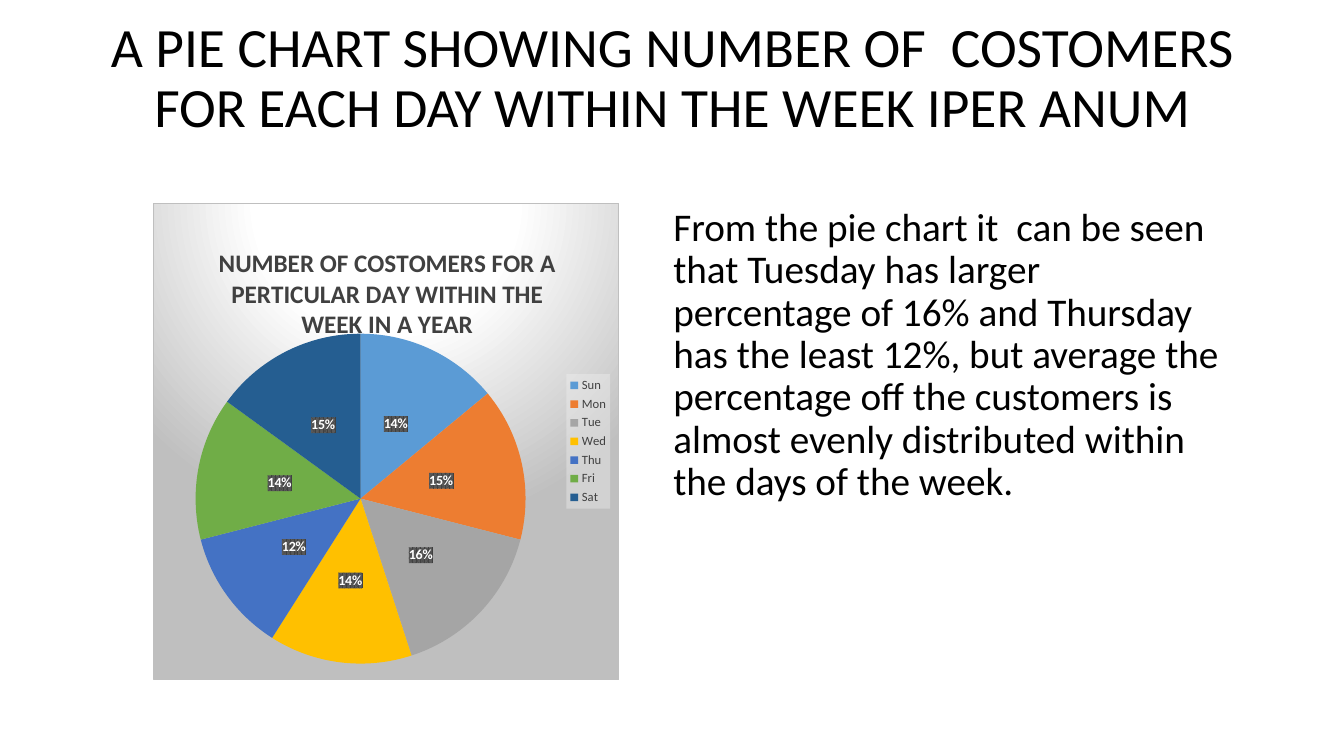
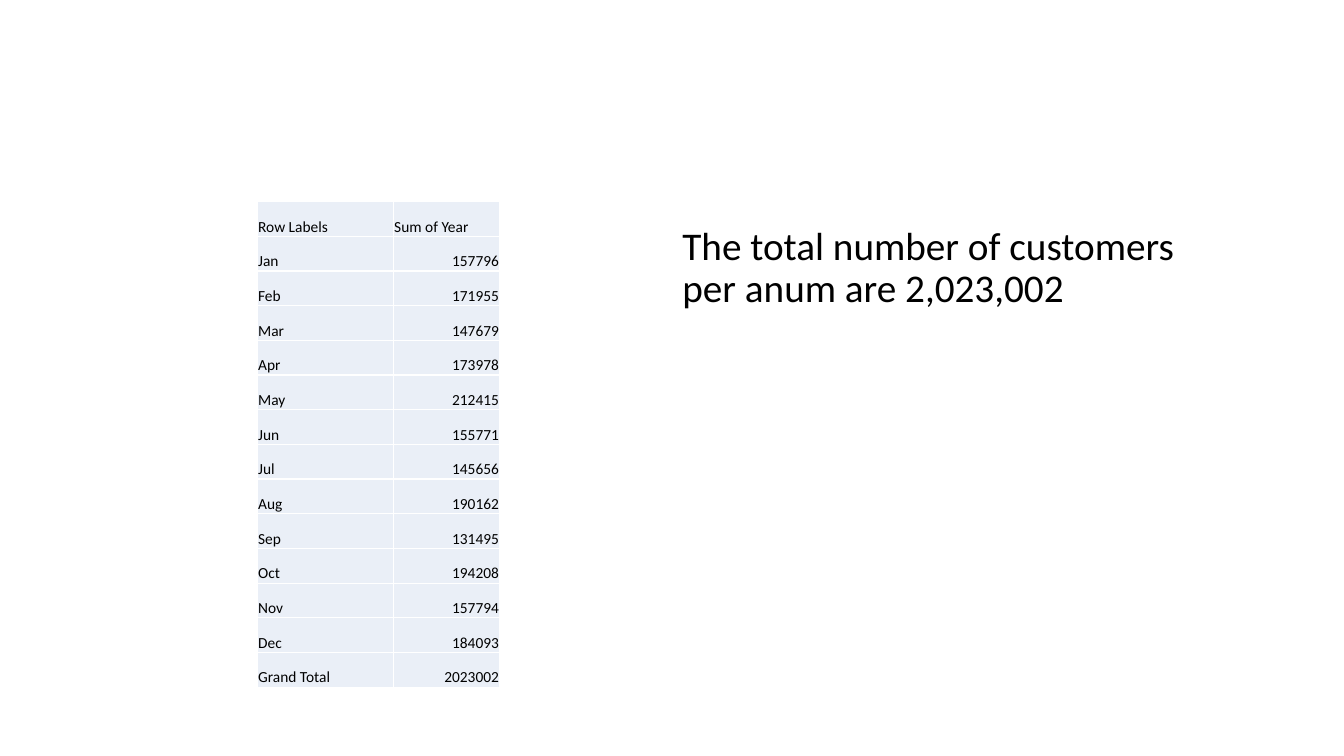
from pptx import Presentation
from pptx.chart.data import CategoryChartData
from pptx.dml.color import RGBColor
from pptx.enum.chart import XL_CHART_TYPE, XL_LABEL_POSITION, XL_LEGEND_POSITION
from pptx.enum.text import MSO_ANCHOR, PP_ALIGN
from pptx.oxml import parse_xml
from pptx.oxml.ns import nsdecls, qn
from pptx.util import Inches, Pt

PIE = XL_CHART_TYPE.PIE
LABEL_CENTER = XL_LABEL_POSITION.CENTER
LEGEND_RIGHT = XL_LEGEND_POSITION.RIGHT
TOP, MIDDLE, BOTTOM = MSO_ANCHOR.TOP, MSO_ANCHOR.MIDDLE, MSO_ANCHOR.BOTTOM
LEFT, CENTER, RIGHT = PP_ALIGN.LEFT, PP_ALIGN.CENTER, PP_ALIGN.RIGHT

FONT = "Calibri"
COLORS = {
    "text": "000000",
    "white": "FFFFFF",
    "chart_text": "404040",
    "label_dots": "595959",
    "legend": "F2F2F2",
    "chart_edge": "BFBFBF",
    "cell": "EAEFF7",
}
DAYS = {
    "Sun": (14, "5B9BD5"),
    "Mon": (15, "ED7D31"),
    "Tue": (16, "A5A5A5"),
    "Wed": (14, "FFC000"),
    "Thu": (12, "4472C4"),
    "Fri": (14, "70AD47"),
    "Sat": (15, "255E91"),
}
MONTHS = {
    "Jan": 157796, "Feb": 171955, "Mar": 147679, "Apr": 173978,
    "May": 212415, "Jun": 155771, "Jul": 145656, "Aug": 190162,
    "Sep": 131495, "Oct": 194208, "Nov": 157794, "Dec": 184093,
}


def style_font(font, size, color=COLORS["text"], bold=False):
    font.name = FONT
    font.size = Pt(size)
    font.bold = bold
    font.color.rgb = RGBColor.from_string(color)


def add_text(slide, text, left, top, width, height, size, align=LEFT, anchor=TOP, space_before=0):
    shape = slide.shapes.add_textbox(Inches(left), Inches(top), Inches(width), Inches(height))
    frame = shape.text_frame
    frame.word_wrap = True
    frame.vertical_anchor = anchor
    frame.text = text
    paragraph = frame.paragraphs[0]
    paragraph.alignment = align
    paragraph.line_spacing = 0.9
    paragraph.space_before = Pt(space_before)
    style_font(paragraph.runs[0].font, size)


def add_title(slide, text):
    add_text(slide, text, 0.92, 0.06, 11.5, 1.45, 39.6, CENTER, MIDDLE)


def add_body(slide, text, left, top):
    add_text(slide, text, left, top, 5.67, 4.76, 28, space_before=10)


def solid_xml(color, alpha=100):
    return f'<a:solidFill><a:srgbClr val="{color}"><a:alpha val="{alpha * 1000}"/></a:srgbClr></a:solidFill>'


def set_chart_fill(element, content):
    properties = parse_xml(f'<c:spPr {nsdecls("c", "a")}>{content}</c:spPr>')
    element.find(qn("c:txPr")).addprevious(properties)


def make_layout(element, target="", **fractions):
    for old_layout in element.findall(qn("c:layout")):
        element.remove(old_layout)
    inner = f'<c:layoutTarget val="{target}"/>' if target else ""
    inner += '<c:xMode val="edge"/><c:yMode val="edge"/>'
    inner += "".join(f'<c:{name} val="{value}"/>' for name, value in fractions.items())
    return parse_xml(
        f'<c:layout {nsdecls("c")}><c:manualLayout>{inner}</c:manualLayout></c:layout>'
    )


def add_chart_title(chart, text):
    frame = chart.chart_title.text_frame
    frame.text = text
    style_font(frame.paragraphs[0].runs[0].font, 18, COLORS["chart_text"], True)
    title = chart.chart_title.element if hasattr(chart.chart_title, "element") else None
    title.find(qn("c:tx")).addnext(make_layout(title, x=0.13, y=0.08))


def add_legend(chart):
    chart.has_legend = True
    chart.legend.position = LEGEND_RIGHT
    chart.legend.include_in_layout = False
    style_font(chart.legend.font, 9, COLORS["chart_text"])
    legend = chart.element.find(".//" + qn("c:legend"))
    set_chart_fill(legend, solid_xml(COLORS["legend"], 39))


def add_percent_labels(chart, series):
    labels = series.data_labels
    labels.show_value = False
    labels.show_percentage = True
    labels.number_format = "0%"
    labels.number_format_is_linked = False
    labels.position = LABEL_CENTER
    style_font(labels.font, 10, COLORS["white"], True)
    pattern = (
        '<a:pattFill prst="pct75">'
        f'<a:fgClr><a:srgbClr val="{COLORS["chart_text"]}"/></a:fgClr>'
        f'<a:bgClr><a:srgbClr val="{COLORS["label_dots"]}"/></a:bgClr></a:pattFill>'
    )
    set_chart_fill(chart.element.find(".//" + qn("c:ser")).find(qn("c:dLbls")), pattern)


def set_chart_background(chart):
    stops = ((0, COLORS["white"]), (39, COLORS["white"]), (100, COLORS["chart_edge"]))
    stop_xml = "".join(
        f'<a:gs pos="{position * 1000}"><a:srgbClr val="{color}"/></a:gs>'
        for position, color in stops
    )
    set_chart_fill(
        chart.element,
        f'<a:gradFill><a:gsLst>{stop_xml}</a:gsLst><a:path path="circle">'
        '<a:fillToRect l="50000" t="-80000" r="50000" b="180000"/></a:path></a:gradFill>'
        f'<a:ln w="{Pt(0.75)}">{solid_xml(COLORS["chart_edge"])}</a:ln>',
    )


def add_day_pie(slide, title):
    data = CategoryChartData()
    data.categories = list(DAYS)
    data.add_series("Series 1", [value for value, color in DAYS.values()])
    chart = slide.shapes.add_chart(
        PIE, Inches(1.52), Inches(2.01), Inches(4.62), Inches(4.74), data
    ).chart
    style_font(chart.font, 10)
    plot = chart.plots[0]
    plot.vary_by_categories = True
    series = plot.series[0]
    for index, (value, color) in enumerate(DAYS.values()):
        fill = series.points[index].format.fill
        fill.solid()
        fill.fore_color.rgb = RGBColor.from_string(color)
    add_percent_labels(chart, series)
    add_chart_title(chart, title)
    add_legend(chart)
    set_chart_background(chart)
    area = chart.element.find(".//" + qn("c:plotArea"))
    area.insert(0, make_layout(area, "inner", x=0.09, y=0.27, w=0.71, h=0.7))


def style_cell(cell, text, align):
    cell.text = text
    cell.vertical_anchor = BOTTOM
    cell.margin_left = cell.margin_right = cell.margin_top = Inches(0.01)
    cell.margin_bottom = 0
    paragraph = cell.text_frame.paragraphs[0]
    paragraph.alignment = align
    style_font(paragraph.runs[0].font, 11)
    properties = cell._tc.get_or_add_tcPr()
    for side in ("lnL", "lnR", "lnT", "lnB"):
        properties.append(parse_xml(
            f'<a:{side} {nsdecls("a")} w="{Pt(1)}">{solid_xml(COLORS["white"])}</a:{side}>'
        ))
    cell.fill.solid()
    cell.fill.fore_color.rgb = RGBColor.from_string(COLORS["cell"])


def add_month_table(slide):
    rows = [("Row Labels", "Sum of Year")]
    rows += [(month, str(total)) for month, total in MONTHS.items()]
    rows.append(("Grand Total", str(sum(MONTHS.values()))))
    table = slide.shapes.add_table(
        len(rows), 2, Inches(2.55), Inches(2), Inches(2.41), Inches(4.82)
    ).table
    table.first_row = table.horz_banding = False
    for column, width in zip(table.columns, (1.35, 1.06)):
        column.width = Inches(width)
    for row_index, (label, total) in enumerate(rows):
        style_cell(table.cell(row_index, 0), label, LEFT)
        style_cell(table.cell(row_index, 1), total, RIGHT if row_index else LEFT)


def main():
    presentation = Presentation()
    presentation.slide_width = Inches(13.33)
    presentation.slide_height = Inches(7.5)
    blank = presentation.slide_layouts[6]

    slide = presentation.slides.add_slide(blank)
    add_title(
        slide,
        "A PIE CHART SHOWING NUMBER OF  COSTOMERS FOR EACH DAY WITHIN THE WEEK IPER ANUM",
    )
    add_body(
        slide,
        "From the pie chart it  can be seen that Tuesday has larger percentage of 16% "
        "and Thursday has the least 12%, but average the percentage off the customers "
        "is almost evenly distributed within the days of the week.",
        6.58, 2.01,
    )
    add_day_pie(slide, "NUMBER OF COSTOMERS FOR A PERTICULAR DAY WITHIN THE WEEK IN A YEAR")

    slide = presentation.slides.add_slide(blank)
    add_body(slide, "The total number of customers per anum are 2,023,002", 6.67, 2.2)
    add_month_table(slide)

    presentation.save("out.pptx")


if __name__ == "__main__":
    main()
